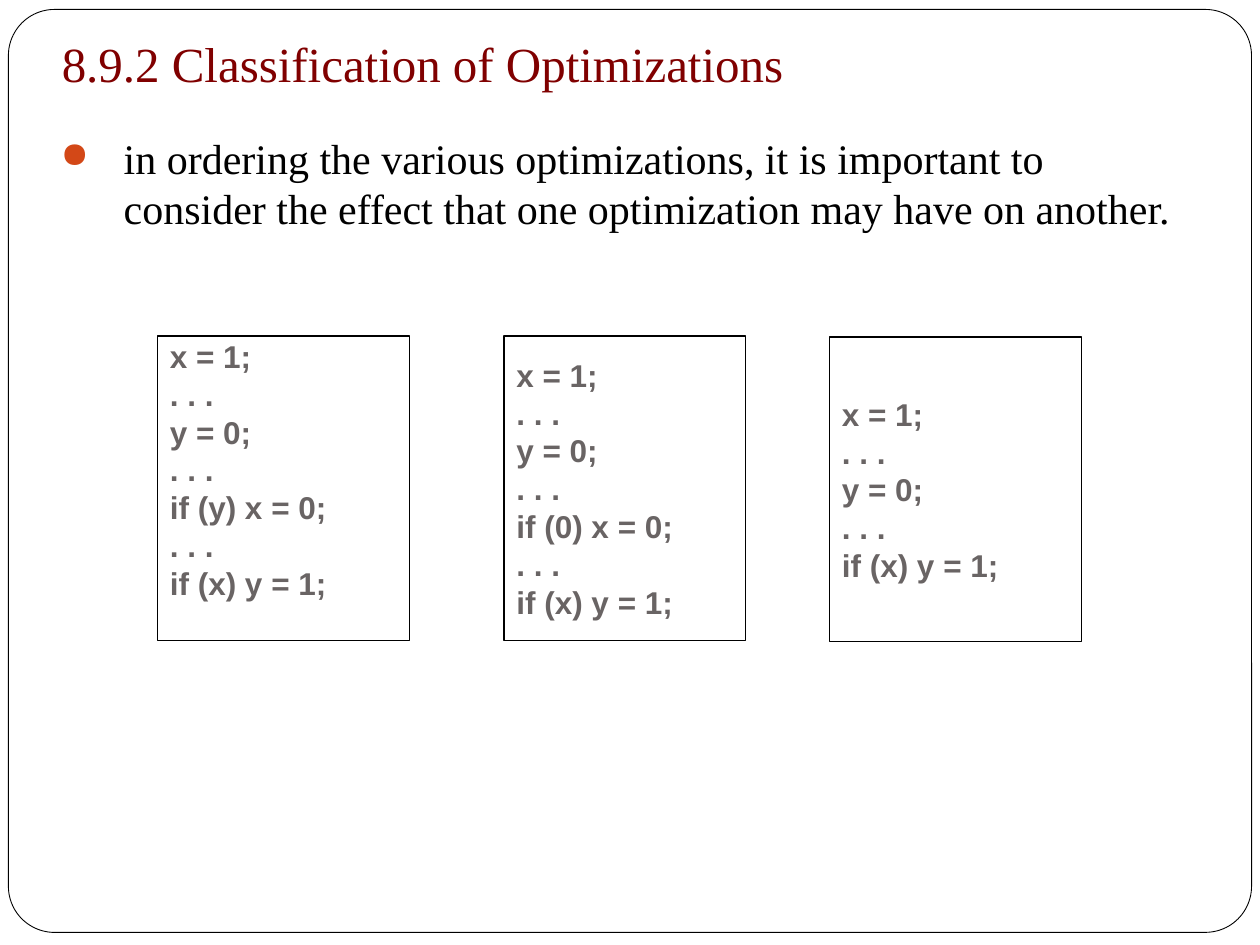
from lxml import etree
from pptx import Presentation
from pptx import util as u
from pptx.dml.color import RGBColor
from pptx.enum import shapes, text
from pptx.oxml.ns import qn

COLORS = {"paper": "FFFFFF", "line": "000000", "title": "800000",
          "body": "000000", "bullet": "D34817", "code": "696464"}
COLS, ROWS = 12, 9
SLIDE_W, SLIDE_H = u.Inches(10), u.Inches(7.5)

TITLE = "8.9.2 Classification of Optimizations"
BODY = ("in ordering the various optimizations, it is important to consider "
        "the effect that one optimization may have on another.")
HEAD = ["x = 1;", ". . .", "y = 0;", ". . ."]
TAIL = ["if (x) y = 1;"]
STAGES = [
    ((1.5, 3.2, 2.4, 2.9), HEAD + ["if (y) x = 0;", ". . ."] + TAIL, (0.01, 0.31)),
    ((4.8, 3.2, 2.3, 2.9), HEAD + ["if (0) x = 0;", ". . ."] + TAIL, (0.05, 0.05)),
    ((7.9, 3.21, 2.4, 2.9), HEAD + TAIL, (0.05, 0.05)),
]


def rgb(name):
    return RGBColor.from_string(COLORS[name])


def place(box):
    x, y, w, h = box
    col, row = SLIDE_W / COLS, SLIDE_H / ROWS
    return [round(v) for v in (x * col, y * row, w * col, h * row)]


def add_panel(s, box, kind, width):
    sp = s.shapes.add_shape(kind, *place(box))
    sp.shadow.inherit = False
    sp.fill.solid()
    sp.fill.fore_color.rgb = rgb("paper")
    sp.line.color.rgb = rgb("line")
    sp.line.width = u.Pt(width)
    return sp


def write(sp, lines, font, size, color, anchor, top=0.05, bottom=0.05, bold=False):
    tf = sp.text_frame
    tf.word_wrap = True
    tf.vertical_anchor = anchor
    tf.margin_left = tf.margin_right = u.Inches(0.1)
    tf.margin_top, tf.margin_bottom = u.Inches(top), u.Inches(bottom)
    tf.text = "\n".join(lines)
    for p in tf.paragraphs:
        p.alignment = text.PP_ALIGN.LEFT
        for r in p.runs:
            r.font.name, r.font.size, r.font.bold = font, u.Pt(size), bold
            r.font.color.rgb = rgb(color)
    return tf


def add_frame(s, box):
    sp = add_panel(s, box, shapes.MSO_SHAPE.ROUNDED_RECTANGLE, 0.5)
    sp.adjustments[0] = 0.05


def add_title(s, box):
    sp = s.shapes.add_textbox(*place(box))
    write(sp, [TITLE], "Times New Roman", 28, "title",
          text.MSO_ANCHOR.BOTTOM, bottom=0.1)


def add_body(s, box):
    sp = s.shapes.add_textbox(*place(box))
    tf = write(sp, [BODY], "Times New Roman", 24, "body", text.MSO_ANCHOR.TOP)
    p = tf.paragraphs[0]
    p.space_before = u.Pt(5.8)
    pPr = p._p.get_or_add_pPr()
    pPr.set("marL", str(u.Inches(0.5)))
    pPr.set("indent", str(-u.Inches(0.5)))
    clr = etree.SubElement(pPr, qn("a:buClr"))
    etree.SubElement(clr, qn("a:srgbClr"), val=COLORS["bullet"])
    etree.SubElement(pPr, qn("a:buSzPct"), val="85000")
    etree.SubElement(pPr, qn("a:buChar"), char="●")


def add_code(s, box, lines, margins):
    sp = add_panel(s, box, shapes.MSO_SHAPE.RECTANGLE, 0.75)
    write(sp, lines, "Arial", 18, "code", text.MSO_ANCHOR.MIDDLE, *margins, bold=True)


def main():
    prs = Presentation()
    prs.slide_width, prs.slide_height = SLIDE_W, SLIDE_H
    s = prs.slides.add_slide(prs.slide_layouts[6])
    add_frame(s, (0.08, 0.09, 11.84, 8.79))
    add_title(s, (0.47, 0.2, 11.2, 0.8))
    add_body(s, (0.46, 1.2, 11.02, 1.49))
    for box, lines, margins in STAGES:
        add_code(s, box, lines, margins)
    prs.save("out.pptx")


if __name__ == "__main__":
    main()
